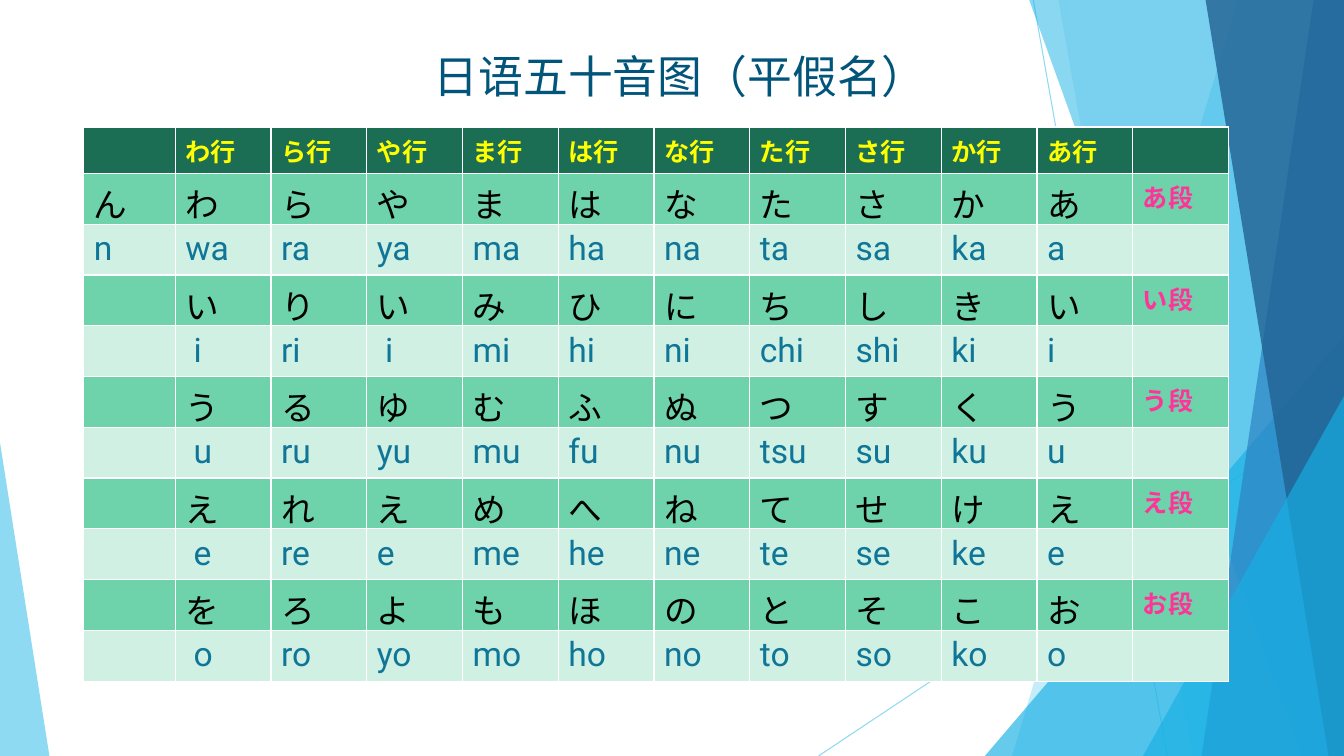
from dataclasses import dataclass

from lxml import etree
from pptx import Presentation
from pptx import util as u
from pptx.dml.color import RGBColor
from pptx.enum import shapes, text
from pptx.oxml import ns


@dataclass(frozen=True)
class Theme:
    sky: str = "5FCBEF"
    cyan: str = "17B0E4"
    blue: str = "2E83C3"
    navy: str = "226292"
    title: str = "01557A"
    header_fill: str = "1B6E53"
    kana_fill: str = "6ED2AA"
    romaji_fill: str = "CFF0E3"
    header: str = "FFFF00"
    kana: str = "000000"
    romaji: str = "0F7698"
    step: str = "FF3399"
    title_font: str = "Arial"
    table_font: str = "Roboto"
    title_size: int = 32
    label_size: int = 18
    sound_size: int = 24
    hairline: float = 0.75


@dataclass(frozen=True)
class Box:
    left: int
    top: int
    width: int
    height: int

    def point(self, across, down):
        return (self.left + round(self.width * across / 100),
                self.top + round(self.height * down / 100))

    def region(self, left, top, width, height):
        return Box(*self.point(left, top),
                   round(self.width * width / 100), round(self.height * height / 100))

    def frame(self):
        return self.left, self.top, self.width, self.height


THEME = Theme()
TITLE = "日语五十音图（平假名）"
HEADERS = ["", *(f"{kana}行" for kana in "わらやまはなたさかあ"), ""]
STEPS = [
    ("あ段", "ん", "わらやまはなたさかあ", "n,wa,ra,ya,ma,ha,na,ta,sa,ka,a"),
    ("い段", "", "いりいみひにちしきい", ", i,ri, i,mi,hi,ni,chi,shi,ki,i"),
    ("う段", "", "うるゆむふぬつすくう", ", u,ru,yu,mu,fu,nu,tsu,su,ku,u"),
    ("え段", "", "えれえめへねてせけえ", ", e,re,e,me,he,ne,te,se,ke,e"),
    ("お段", "", "をろよもほのとそこお", ", o,ro,yo,mo,ho,no,to,so,ko,o"),
]


def set_alpha(item, percent):
    for color in item.element.spPr.iter(ns.qn("a:srgbClr")):
        etree.SubElement(color, ns.qn("a:alpha"), val=str(percent * 1000))


def paint(shape, color, alpha):
    shape.shadow.inherit = False
    shape.line.fill.background()
    shape.fill.solid()
    shape.fill.fore_color.rgb = RGBColor.from_string(color)
    set_alpha(shape, alpha)


def add_ray(page, box, start, end):
    ray = page.shapes.add_connector(shapes.MSO_CONNECTOR.STRAIGHT,
                                    *box.point(*start), *box.point(*end))
    ray.line.color.rgb = RGBColor.from_string(THEME.sky)
    ray.line.width = u.Pt(THEME.hairline)
    set_alpha(ray, 70)
    etree.SubElement(ray.element.spPr, ns.qn("a:effectLst"))


def add_band(page, box, top_left, bottom_left, color, alpha):
    corners = [(top_left, 0), (100, 0), (100, 100), (bottom_left, 100)]
    first, *others = [box.point(*corner) for corner in corners]
    builder = page.shapes.build_freeform(*first)
    builder.add_line_segments(others, close=True)
    paint(builder.convert_to_shape(), color, alpha)


def add_wedge(page, box, apex, color, alpha):
    wedge = page.shapes.add_shape(shapes.MSO_SHAPE.ISOSCELES_TRIANGLE, *box.frame())
    wedge.adjustments[0] = apex
    paint(wedge, color, alpha)


def add_backdrop(page, box):
    add_ray(page, box, (76.88, 0), (86.85, 100))
    add_ray(page, box, (100, 53.73), (60.9, 100))
    add_band(page, box, 92.1, 75.3, THEME.sky, 36)
    add_band(page, box, 78.75, 88.73, THEME.sky, 20)
    add_wedge(page, box.region(73.28, 44.4, 26.72, 55.6), 1, THEME.cyan, 66)
    add_band(page, box, 76.58, 96.83, THEME.cyan, 50)
    add_band(page, box, 97.73, 89.4, THEME.blue, 70)
    add_band(page, box, 89.7, 98.85, THEME.navy, 80)
    add_wedge(page, box.region(85.05, 52.4, 14.95, 47.6), 1, THEME.cyan, 66)
    add_wedge(page, box.region(0, 58.53, 3.68, 41.47), 0, THEME.sky, 70)


def style_text(paragraph, name, size, color, bold=False):
    paragraph.font.name = name
    paragraph.font.size = u.Pt(size)
    paragraph.font.bold = bold
    paragraph.font.color.rgb = RGBColor.from_string(color)


def add_title(page, box):
    title = page.shapes.title
    title.left, title.top, title.width, title.height = box.frame()
    frame = title.text_frame
    frame.text = TITLE
    frame.word_wrap = True
    frame.auto_size = text.MSO_AUTO_SIZE.SHAPE_TO_FIT_TEXT
    frame.vertical_anchor = text.MSO_ANCHOR.TOP
    paragraph = frame.paragraphs[0]
    paragraph.alignment = text.PP_ALIGN.CENTER
    style_text(paragraph, THEME.title_font, THEME.title_size, THEME.title)
    page.shapes.element.append(title.element)


def fill_row(row, words, fill, size, color, bold=False):
    for cell, word in zip(row.cells, words):
        cell.fill.solid()
        cell.fill.fore_color.rgb = RGBColor.from_string(fill)
        if word:
            cell.text = word
            style_text(cell.text_frame.paragraphs[0], THEME.table_font, size, color, bold)


def add_kana_table(page, box):
    row_count, column_count = 1 + 2 * len(STEPS), len(HEADERS)
    table = page.shapes.add_table(row_count, column_count, *box.frame()).table
    first_width, header_height = box.point(8, 8.4)
    first_width -= box.left
    header_height -= box.top
    for index, column in enumerate(table.columns):
        column.width = (box.width - first_width) // (column_count - 1) if index else first_width
    for index, row in enumerate(table.rows):
        row.height = (box.height - header_height) // (row_count - 1) if index else header_height

    rows = iter(table.rows)
    fill_row(next(rows), HEADERS, THEME.header_fill, THEME.label_size, THEME.header, True)
    for step, extra, kana, romaji in STEPS:
        kana_row = next(rows)
        fill_row(kana_row, [extra, *kana, ""], THEME.kana_fill, THEME.sound_size, THEME.kana)
        label = list(kana_row.cells)[-1]
        label.text = step
        style_text(label.text_frame.paragraphs[0], THEME.table_font,
                   THEME.label_size, THEME.step, True)
        fill_row(next(rows), [*romaji.split(","), ""], THEME.romaji_fill,
                 THEME.sound_size, THEME.romaji)


def main():
    deck = Presentation()
    deck.slide_width, deck.slide_height = u.Inches(13.33), u.Inches(7.5)
    page = deck.slides.add_slide(deck.slide_layouts.get_by_name("Title Only"))
    whole = Box(0, 0, deck.slide_width, deck.slide_height)
    add_backdrop(page, whole)
    add_title(page, whole.region(13.05, 5.73, 75.15, 8.53))
    add_kana_table(page, whole.region(6.23, 16.8, 85.2, 73.33))
    deck.save("out.pptx")


if __name__ == "__main__":
    main()
